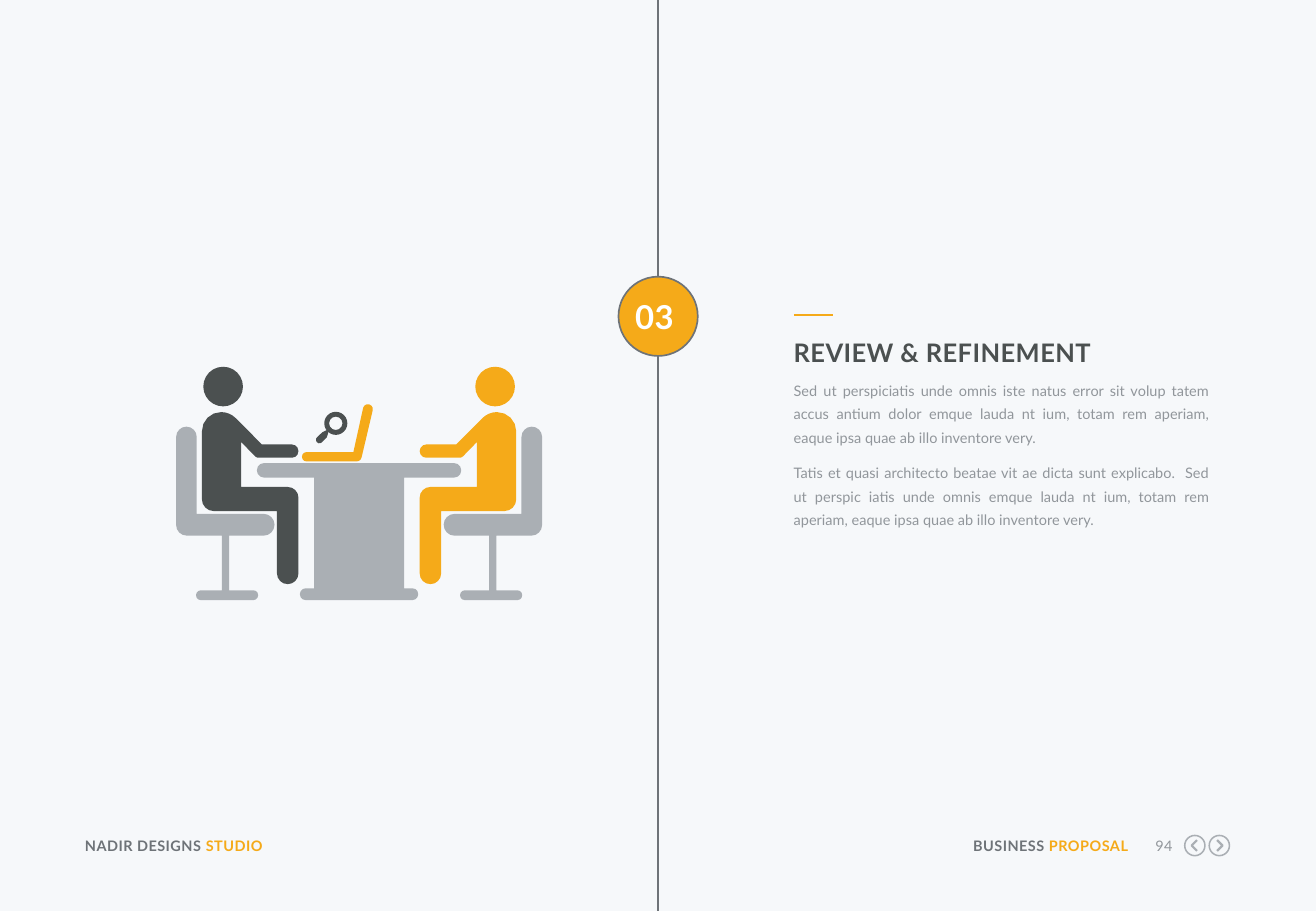
from math import atan2, cos, hypot, pi, remainder, sin, tan

from lxml.etree import SubElement
from pptx import Presentation
from pptx.dml.color import RGBColor
from pptx.enum.shapes import MSO_CONNECTOR, MSO_SHAPE
from pptx.enum.text import MSO_ANCHOR, MSO_AUTO_SIZE, PP_ALIGN
from pptx.oxml.ns import qn
from pptx.util import Pt

GOLD, DARK, SLATE = "F5AA19", "4B5050", "6E7378"
GREY, TEXT, WHITE, PAPER = "AAAFB4", "91969B", "FFFFFF", "F6F8FA"
WIDE, HIGH = 780, 540
AXIS = 212.85
SMALL = 8.65

TITLE = "REVIEW & REFINEMENT"
BODY = [
    "Sed ut perspiciatis unde omnis iste natus error sit volup tatem accus antium dolor emque lauda nt ium, totam rem aperiam, eaque ipsa quae ab illo inventore very.",
    "Tatis et quasi architecto beatae vit ae dicta sunt explicabo.  Sed ut perspic iatis unde omnis emque lauda nt ium, totam rem aperiam, eaque ipsa quae ab illo inventore very.",
]
LABELS = [
    ((50.4, 496.1, 152, 10.8), [("NADIR DESIGNS ", SLATE), ("STUDIO", GOLD)], PP_ALIGN.LEFT, SMALL, True, 25),
    ((570.2, 496.1, 98.6, 10.8), [("BUSINESS ", SLATE), ("PROPOSAL", GOLD)], PP_ALIGN.RIGHT, SMALL, True, 25),
    ((677.1, 496.1, 18, 10.8), [("94", TEXT)], PP_ALIGN.RIGHT, SMALL, False, 25),
    ((373.9, 175.7, 28, 23.8), [("03", WHITE)], PP_ALIGN.CENTER, 19.5, True, 20),
]

BUST = [
    (119.7, 244.3, 11.4), (136.1, 244.3, 12), (155.3, 263.5, 0),
    (176.9, 263.5, 3.9), (176.9, 271.4, 3.9), (152.1, 271.4, 3),
    (143, 262.1, 0), (143, 288.7, 0), (176.9, 288.7, 6.3),
    (176.9, 346.3, 6.3), (164.2, 346.3, 6.3), (164.2, 303, 0),
    (119.7, 303, 7),
]
CHAIR = [
    (104.4, 252.9, 6.1), (116.6, 252.9, 6.1), (116.6, 304.6, 0),
    (162.7, 304.6, 6.4), (162.7, 317.5, 6.4), (135.8, 317.5, 0),
    (135.8, 349.9, 0), (153, 349.9, 2.8), (153, 355.7, 2.8),
    (116.2, 355.7, 2.8), (116.2, 349.9, 2.8), (131.5, 349.9, 0),
    (131.5, 317.5, 0), (104.4, 317.5, 6.3),
]
HALF = [
    (152.3, 274.5, 4.2), (152.3, 283.1, 4.2), (186.2, 283.1, 0),
    (186.2, 348.7, 0), (177.8, 348.7, 3.4), (177.8, 355.7, 3.4),
]
LAPTOP = [
    (179, 268, 2.7), (209.5, 268, 0), (215.9, 239, 2.8),
    (221.6, 240.4, 2.8), (213.8, 273.5, 3), (179, 273.5, 2.7),
]
GRIP = [
    (193.7, 254.9, 0), (191, 256.3, 0), (186.3, 260.7, 2),
    (189.4, 263.6, 2), (193.7, 259.2, 0), (194.8, 255.6, 0),
]

deck = Presentation()
deck.slide_width, deck.slide_height = Pt(WIDE), Pt(HIGH)
slide = deck.slides.add_slide(deck.slide_layouts[5])
shapes = slide.shapes


def paint(fmt, code):
    fmt.solid()
    fmt.fore_color.rgb = RGBColor.from_string(code)


def style(shape, fill=None, line=None, width=1):
    shape.shadow.inherit = False
    if fill:
        paint(shape.fill, fill)
    else:
        shape.fill.background()
    if line:
        paint(shape.line.fill, line)
        shape.line.width = Pt(width)
    else:
        shape.line.fill.background()
    return shape


def preset(kind, x, y, size, **look):
    shape = shapes.add_shape(kind, Pt(x), Pt(y), Pt(size), Pt(size))
    return style(shape, **look)


def flip(nodes):
    return [(2 * AXIS - x, y, r) for x, y, r in nodes]


def bend(prev, node, after):
    x, y, r = node
    if not r:
        return [(x, y)]
    ax, ay, bx, by = prev[0] - x, prev[1] - y, after[0] - x, after[1] - y
    start, turn = atan2(ay, ax), remainder(atan2(by, bx) - atan2(ay, ax), 2 * pi)
    half, mid = abs(turn) / 2, start + turn / 2
    far, reach = r / sin(half), r / tan(half)
    cx, cy = x + far * cos(mid), y + far * sin(mid)
    ends = [(x + reach * dx / hypot(dx, dy), y + reach * dy / hypot(dx, dy))
            for dx, dy in ((ax, ay), (bx, by))]
    first, last = [atan2(ey - cy, ex - cx) for ex, ey in ends]
    sweep = remainder(last - first, 2 * pi)
    steps = 4 if r > 5 else 3
    return [(cx + r * cos(first + sweep * i / steps), cy + r * sin(first + sweep * i / steps))
            for i in range(steps + 1)]


def trace(dots, close=True):
    dots = [(Pt(x), Pt(y)) for x, y in dots]
    path = shapes.build_freeform(*dots[0], scale=1)
    path.add_line_segments(dots[1:], close=close)
    return path.convert_to_shape()


def solid(nodes, fill):
    ring = zip(nodes[-1:] + nodes[:-1], nodes, nodes[1:] + nodes[:1])
    style(trace([dot for trio in ring for dot in bend(*trio)]), fill=fill)


def rule(x1, y1, x2, y2, code, width):
    line = shapes.add_connector(MSO_CONNECTOR.STRAIGHT, Pt(x1), Pt(y1), Pt(x2), Pt(y2))
    paint(line.line.fill, code)
    line.line.width = Pt(width)
    SubElement(line._element.spPr, qn("a:effectLst"))


def place(shape, box):
    shape.left, shape.top, shape.width, shape.height = map(Pt, box)
    frame = shape.text_frame
    frame.margin_left = frame.margin_top = frame.margin_right = frame.margin_bottom = 0
    frame.word_wrap = True
    frame.auto_size = MSO_AUTO_SIZE.NONE
    frame.vertical_anchor = MSO_ANCHOR.TOP
    return frame


def write(para, runs, align, size, bold=False, track=0, lead=None):
    para.alignment = align
    if lead:
        para.line_spacing, para.space_before, para.space_after = Pt(lead), Pt(0), Pt(6.5)
    font = para.font
    font.name, font.size, font.bold = "Lato", Pt(size), bold
    font._rPr.set("spc", str(track))
    if len(runs) == 1:
        paint(font.fill, runs[0][1])
    for text, code in runs:
        run = para.add_run()
        run.text = text
        if len(runs) > 1:
            paint(run.font.fill, code)


paint(slide.background.fill, PAPER)

rule(390, 0, 390, 164, SLATE, 1)
rule(390, 211, 390, HIGH, SLATE, 1)
preset(MSO_SHAPE.OVAL, 366.6, 164, 47, fill=GOLD, line=SLATE)

solid(LAPTOP, GOLD)
solid(GRIP, DARK)
lens = preset(MSO_SHAPE.DONUT, 192.2, 244.1, 13.7, fill=DARK)
lens.adjustments[0] = 0.21
for turn, code, head in ((list, DARK, 120.5), (flip, GOLD, 281.7)):
    solid(turn(BUST), code)
    preset(MSO_SHAPE.OVAL, head, 217.4, 23.5, fill=code)
    solid(turn(CHAIR), GREY)
solid(HALF + flip(HALF)[::-1], GREY)

for mid, way in ((708.2, -1), (722.7, 1)):
    preset(MSO_SHAPE.OVAL, mid - 6, 495.2, 12, line=GREY, width=0.9)
    arrow = [(mid - 1.3 * way, 498), (mid + 1.9 * way, 501.2), (mid - 1.3 * way, 504.4)]
    style(trace(arrow, close=False), line=GREY, width=1.3)

for box, runs, align, size, bold, track in LABELS:
    frame = place(shapes.add_textbox(0, 0, 0, 0), box)
    write(frame.paragraphs[0], runs, align, size, bold, track)

rule(470.5, 186.7, 493.9, 186.7, GOLD, 1.5)
frame = place(shapes.title, (470.4, 199.4, 247.7, 18))
write(frame.paragraphs[0], [(TITLE, DARK)], PP_ALIGN.LEFT, 15.15, True, 25, 18.4)
frame = place(shapes.add_textbox(0, 0, 0, 0), (470.4, 222.5, 246.8, 92.2))
for i, text in enumerate(BODY):
    para = frame.add_paragraph() if i else frame.paragraphs[0]
    write(para, [(text, TEXT)], PP_ALIGN.JUSTIFY, SMALL, lead=14.1)

deck.save("out.pptx")
